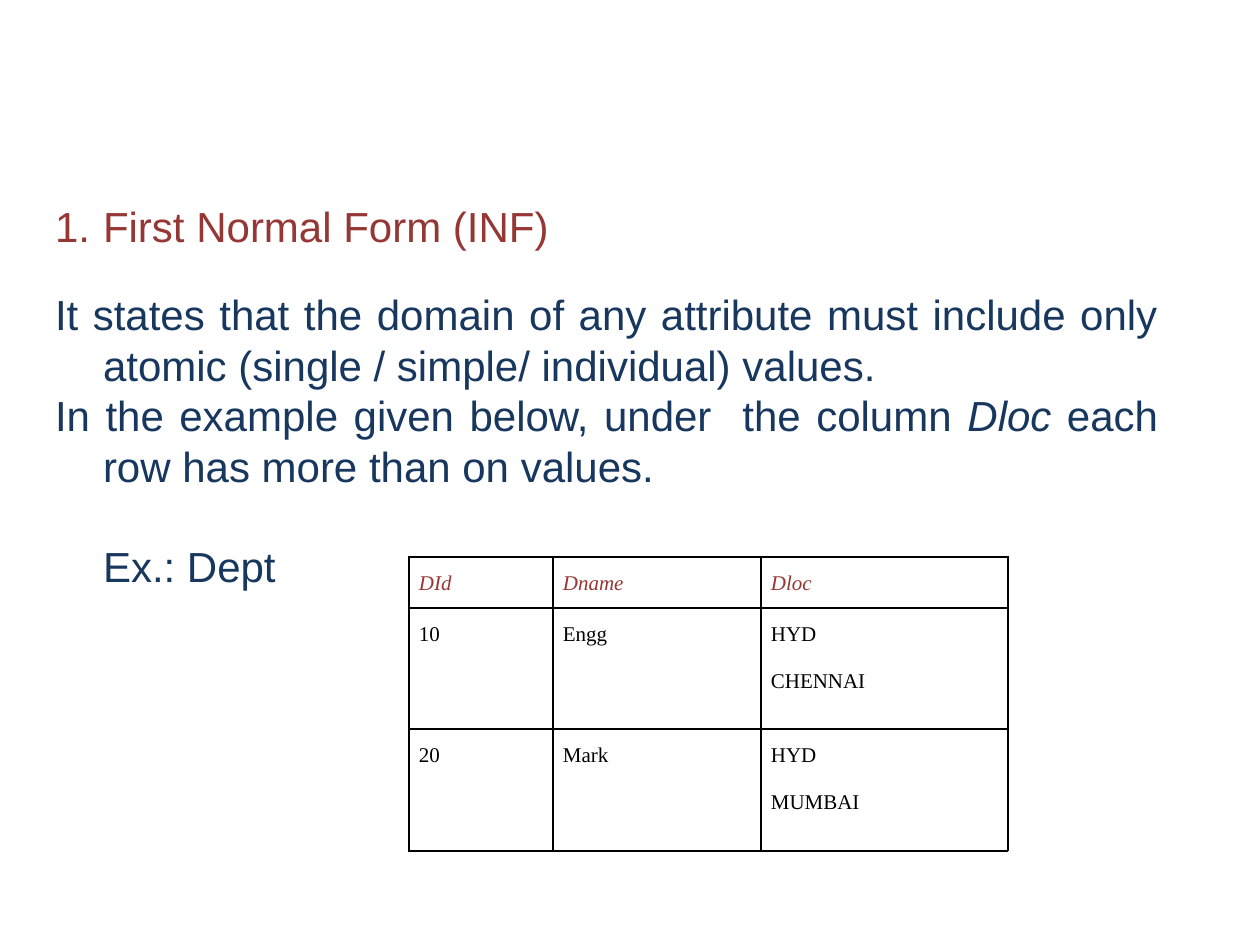
"""Build the First Normal Form slide with its example table."""
from dataclasses import dataclass

from lxml import etree
from pptx import Presentation
from pptx.dml.color import RGBColor
from pptx.enum.text import MSO_ANCHOR, MSO_AUTO_SIZE, PP_ALIGN
from pptx.oxml.ns import qn
from pptx.util import Emu, Pt

JUST = PP_ALIGN.JUSTIFY
MIDDLE = MSO_ANCHOR.MIDDLE
FIXED = MSO_AUTO_SIZE.NONE
SCALE = 914400 / 126
COLORS = {"red": "953735", "navy": "17375E", "black": "000000"}


@dataclass
class Words:
    text: str
    color: str = "navy"
    italic: bool = False
    font: str = "Arial"
    size: int = 24


@dataclass
class Line:
    runs: list[Words]
    after: float = 0
    hang: int = 48
    number: bool = False


LINES = [
    Line([Words("First Normal Form (INF)", "red")], after=21.6, number=True),
    Line([Words("It states that the domain of any attribute must include only "
                "atomic (single / simple/ individual) values.")]),
    Line([Words("In the example given below, under  the column "),
          Words("Dloc", italic=True),
          Words(" each row has more than on values.")], after=28.8),
    Line([Words("Ex.: Dept")], hang=0),
]
COLS = [144, 208, 247]
ROWS = [51, 121, 122]
DEPT = [
    [["DId"], ["Dname"], ["Dloc"]],
    [["10"], ["Engg"], ["HYD", "CHENNAI"]],
    [["20"], ["Mark"], ["HYD", "MUMBAI"]],
]


def px(count: int) -> Emu:
    """Turn pixels into EMU."""
    return Emu(round(count * SCALE))


def add_run(para, words: Words) -> None:
    """Add one styled run."""
    run = para.add_run()
    run.text = words.text
    font = run.font
    font.name, font.size, font.italic = words.font, Pt(words.size), words.italic
    font.color.rgb = RGBColor.from_string(COLORS[words.color])


def add_paras(frame, count: int) -> list:
    """Return the given number of paragraphs of a frame."""
    return [frame.paragraphs[0]] + [frame.add_paragraph() for _ in range(count - 1)]


def set_inset(item, left: int, top: int, right: int, bottom: int) -> None:
    """Set the margins of a frame or a cell."""
    item.margin_left, item.margin_top = px(left), px(top)
    item.margin_right, item.margin_bottom = px(right), px(bottom)


def set_bullet(para, line: Line) -> None:
    """Set the indent and the number of a paragraph."""
    props = para._p.get_or_add_pPr()
    props.set("marL", str(px(48)))
    props.set("indent", str(-px(line.hang)))
    if line.number:
        tint = etree.SubElement(props, qn("a:buClr"))
        etree.SubElement(tint, qn("a:srgbClr"), val=COLORS["red"])
        etree.SubElement(props, qn("a:buAutoNum"), type="arabicPeriod")
    else:
        etree.SubElement(props, qn("a:buNone"))


def fill_body(body) -> None:
    """Place the body and write its lines."""
    body.left, body.top, body.width, body.height = px(55), px(190), px(1103), px(407)
    frame = body.text_frame
    frame.word_wrap, frame.auto_size = True, FIXED
    frame.vertical_anchor = MIDDLE
    set_inset(frame, 0, 10, 0, 5)
    for para, line in zip(add_paras(frame, len(LINES)), LINES):
        para.alignment, para.line_spacing = JUST, Pt(28.8)
        para.space_before, para.space_after = Pt(0), Pt(line.after)
        set_bullet(para, line)
        for words in line.runs:
            add_run(para, words)


def set_edges(cell) -> None:
    """Draw thin black borders around a cell."""
    props = cell._tc.get_or_add_tcPr()
    for side in ("lnL", "lnR", "lnT", "lnB"):
        edge = etree.SubElement(props, qn(f"a:{side}"), w=str(Pt(0.75)))
        fill = etree.SubElement(edge, qn("a:solidFill"))
        etree.SubElement(fill, qn("a:srgbClr"), val=COLORS["black"])


def fill_cell(cell, texts: list[str], head: bool) -> None:
    """Format a cell and write one paragraph per text."""
    set_edges(cell)
    cell.fill.background()
    set_inset(cell, 10, 6, 10, 6)
    color = "red" if head else "black"
    for para, text in zip(add_paras(cell.text_frame, len(texts)), texts):
        para.alignment, para.line_spacing = JUST, 1.4
        para.space_before, para.space_after = Pt(6), Pt(2)
        add_run(para, Words(text, color, head, "Times New Roman", 12))


def add_dept(slide) -> None:
    """Add the department table."""
    frame = slide.shapes.add_table(len(ROWS), len(COLS), px(409), px(557),
                                   px(sum(COLS)), px(sum(ROWS)))
    table = frame.table
    table.first_row = table.horz_banding = False
    for col, width in zip(table.columns, COLS):
        col.width = px(width)
    for row, height, data in zip(table.rows, ROWS, DEPT):
        row.height = px(height)
        for cell, texts in zip(row.cells, data):
            fill_cell(cell, texts, data is DEPT[0])


def main() -> None:
    """Build and save the deck."""
    deck = Presentation()
    deck.slide_width, deck.slide_height = px(1260), px(945)
    slide = deck.slides.add_slide(deck.slide_layouts[1])
    title = slide.shapes.title._element
    title.getparent().remove(title)
    fill_body(slide.placeholders[1])
    add_dept(slide)
    deck.save("out.pptx")


if __name__ == "__main__":
    main()
